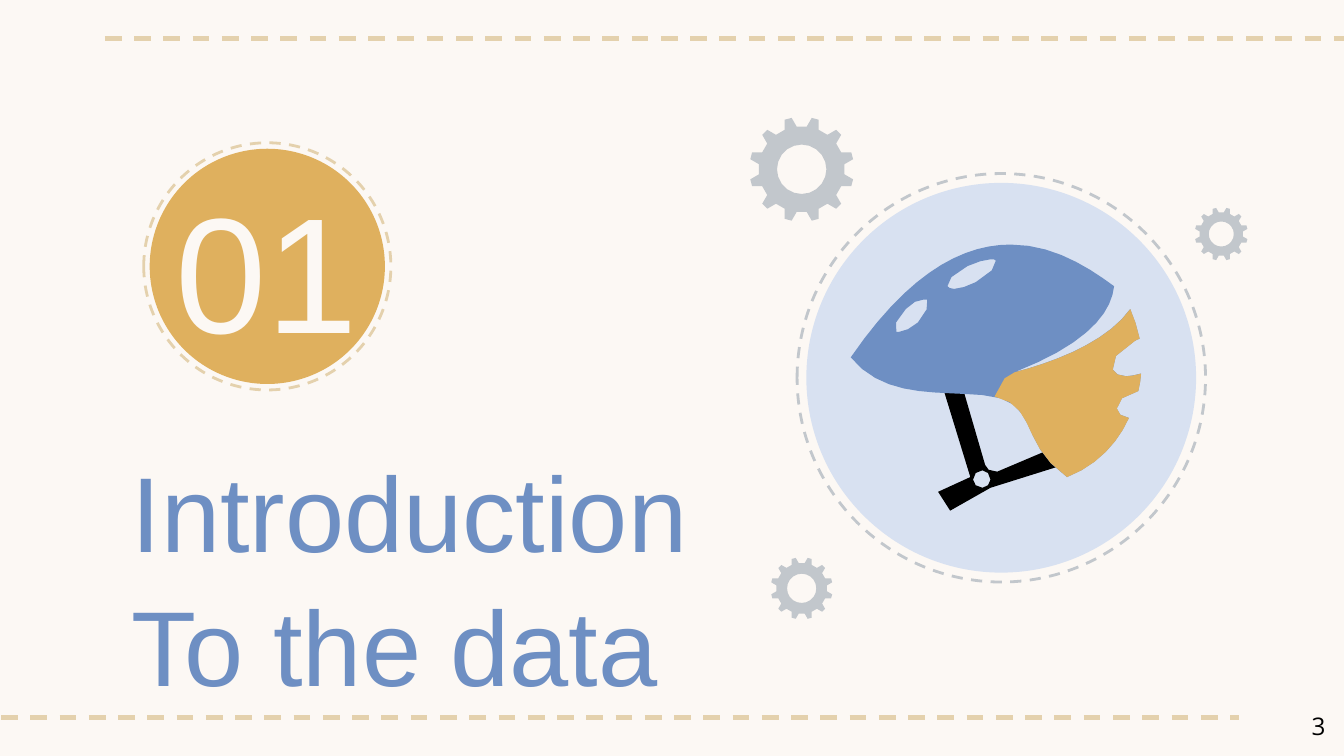
"""Build the section slide that introduces the data."""
from dataclasses import dataclass
from math import cos, dist, pi, sin

from lxml import etree
from pptx import Presentation
from pptx.dml.color import RGBColor
from pptx.enum.dml import MSO_LINE
from pptx.enum.shapes import MSO_CONNECTOR, MSO_SHAPE
from pptx.enum.text import MSO_ANCHOR, PP_ALIGN
from pptx.oxml.ns import qn
from pptx.util import Pt

DASH = MSO_LINE.DASH
STRAIGHT = MSO_CONNECTOR.STRAIGHT
OVAL = MSO_SHAPE.OVAL
TOP, MIDDLE = MSO_ANCHOR.TOP, MSO_ANCHOR.MIDDLE
LEFT, CENTER, RIGHT = PP_ALIGN.LEFT, PP_ALIGN.CENTER, PP_ALIGN.RIGHT

CREAM, SAND, GOLD = "FCF8F4", "E4D1AD", "DFB05E"
BLUE, PALE_BLUE, GREY, BLACK = "6E8FC3", "D8E1F1", "C2C7CC", "000000"

GRID = 0.72
CURVE_STRIDE = 8
TEETH, NOTCH_STEPS, HOLE_STEPS = 12, 3, 20

Point = tuple[float, float]
Contour = list[Point]


@dataclass
class Disc:
    """A circle that is either filled or outlined with dashes."""
    center_x: float
    center_y: float
    radius: float
    color: str
    dashed: bool = False


@dataclass
class Gear:
    """A toothed wheel with a round hole."""
    center_x: float
    center_y: float
    radius: float


@dataclass
class Label:
    """A text box with one format for all its lines."""
    left: float
    top: float
    width: float
    height: float
    lines: list[str]
    size: float
    color: str
    font: str = "Arial"
    align: PP_ALIGN = LEFT
    anchor: MSO_ANCHOR = TOP
    spacing: float = 1.0
    inset_top: float = 7.2


@dataclass
class Part:
    """A helmet part, outlined on a grid of 0.72 points."""
    color: str
    outline: str


FIN_EDGE = (
    "C 844 236 846 244 848 252 C 846 253 845 253 844 254 C 832 260 825 270 828 275 "
    "C 829 278 833 280 838 280 C 841 280 845 279 849 278 C 849 282 848 286 847 291 "
    "C 837 293 830 299 831 304 C 831 308 835 310 840 311 C 832 329 817 346 794 355 "
)
HELMET = [
    Part(BLACK,
         "M 731 350 C 727 350 724 353 724 357 C 724 360 727 363 731 363 "
         "C 734 363 737 360 737 357 C 737 353 734 350 731 350 "
         "M 695 267 L 710 267 L 733 346 C 734 349 736 351 742 351 "
         "L 801 326 L 804 342 L 737 363 L 707 380 L 698 366 L 722 355 L 695 267"),
    Part(BLUE,
         "M 737 193 C 733 193 727 195 720 198 C 710 203 703 210 705 213 "
         "C 706 214 707 215 710 215 C 714 215 720 213 726 210 "
         "C 736 204 743 198 741 194 C 741 193 739 193 737 193 "
         "M 687 223 C 684 223 678 225 674 230 C 667 237 664 244 667 247 "
         "L 669 247 C 673 247 678 244 683 240 "
         "C 689 234 692 226 690 223 L 687 223 "
         "M 752 182 C 784 182 810 199 829 213 C 827 232 811 255 755 277 "
         "C 786 269 824 254 841 230 " + FIN_EDGE +
         "C 756 329 775 297 731 294 C 695 291 658 296 633 266 "
         "C 677 202 717 182 752 182"),
    Part(GOLD,
         "M 841 230 " + FIN_EDGE +
         "C 759 331 772 302 740 295 C 745 281 750 279 755 277 "
         "C 786 269 824 254 841 230"),
]
DISCS = [
    Disc(143.2, 142.7, 66.2, SAND, dashed=True),
    Disc(143.2, 142.7, 63, GOLD),
    Disc(536.4, 202.4, 109.4, GREY, dashed=True),
    Disc(536.4, 202.4, 104.4, PALE_BLUE),
]
GEARS = [
    Gear(429.5, 90.7, 27),
    Gear(654.3, 125.4, 13.7),
    Gear(429.5, 315.2, 16),
]
LABELS = [
    Label(63.4, 226.8, 369.4, 66.2, ["Introduction", "To the data"], 57, BLUE,
          spacing=1.05, inset_top=9),
    Label(72, 67, 141.8, 142.6, ["01"], 88, CREAM, align=CENTER, anchor=MIDDLE,
          spacing=1.1),
    Label(673.9, 373.7, 43.2, 31, ["3"], 13, BLACK, font="Open Sans", align=RIGHT),
]


def rgb(color: str) -> RGBColor:
    """Turn a hex string into a colour."""
    return RGBColor.from_string(color)


def add_rule(slide, start: float, end: float, height: float) -> None:
    """Draw a level dashed line."""
    rule = slide.shapes.add_connector(STRAIGHT, Pt(start), Pt(height), Pt(end), Pt(height))
    rule.line.color.rgb = rgb(SAND)
    rule.line.width = Pt(2.25)
    rule.line.dash_style = DASH
    etree.SubElement(rule._element.spPr, qn("a:effectLst"))


def add_disc(slide, disc: Disc) -> None:
    """Draw a circle around its centre."""
    side = Pt(2 * disc.radius)
    circle = slide.shapes.add_shape(
        OVAL, Pt(disc.center_x - disc.radius), Pt(disc.center_y - disc.radius), side, side)
    circle.shadow.inherit = False
    if disc.dashed:
        circle.fill.background()
        circle.line.color.rgb = rgb(disc.color)
        circle.line.width = Pt(1.5)
        circle.line.dash_style = DASH
    else:
        circle.fill.solid()
        circle.fill.fore_color.rgb = rgb(disc.color)
        circle.line.fill.background()


def add_outline(slide, contours: list[Contour], color: str) -> None:
    """Fill a set of closed contours as one shape."""
    first, *others = [[(Pt(x), Pt(y)) for x, y in contour] for contour in contours]
    builder = slide.shapes.build_freeform(*first[0], scale=1.0)
    builder.add_line_segments(first[1:], close=True)
    for contour in others:
        builder.move_to(*contour[0])
        builder.add_line_segments(contour[1:], close=True)
    outline = builder.convert_to_shape()
    outline.shadow.inherit = False
    outline.fill.solid()
    outline.fill.fore_color.rgb = rgb(color)
    outline.line.fill.background()


def curve(controls: list[Point]) -> Contour:
    """Give points along a cubic curve, without its start."""
    steps = max(2, round(dist(controls[0], controls[-1]) / CURVE_STRIDE))
    points = []
    for step in range(1, steps + 1):
        t = step / steps
        weights = ((1 - t) ** 3, 3 * t * (1 - t) ** 2, 3 * t * t * (1 - t), t ** 3)
        points.append(tuple(sum(w * p[axis] for w, p in zip(weights, controls))
                            for axis in (0, 1)))
    return points


def trace(outline: str) -> list[Contour]:
    """Turn move, line and curve commands into contours in points."""
    tokens = iter(outline.split())
    contours: list[Contour] = []
    for command in tokens:
        count = 3 if command == "C" else 1
        points = [(GRID * int(next(tokens)), GRID * int(next(tokens))) for _ in range(count)]
        if command == "M":
            contours.append(points)
        elif command == "L":
            contours[-1].extend(points)
        else:
            contours[-1].extend(curve([contours[-1][-1], *points]))
    return contours


def arc(x: float, y: float, radius: float, start: float, sweep: float, steps: int) -> Contour:
    """Give evenly spaced points on a circular arc."""
    angles = [start + sweep * step / steps for step in range(steps + 1)]
    return [(x + radius * cos(angle), y + radius * sin(angle)) for angle in angles]


def add_gear(slide, gear: Gear) -> None:
    """Draw a wheel with round notches between its teeth."""
    x, y, radius = gear.center_x, gear.center_y, gear.radius
    rim: Contour = []
    for tooth in range(TEETH):
        angle = 2 * pi * tooth / TEETH
        rim += arc(x + 1.02 * radius * cos(angle), y + 1.02 * radius * sin(angle),
                   0.2 * radius, angle - pi / 2, -pi, NOTCH_STEPS)
    hole = arc(x, y, 0.49 * radius, 0, 2 * pi, HOLE_STEPS)
    add_outline(slide, [hole, rim], GREY)


def add_label(slide, label: Label) -> None:
    """Write the lines of a label in its box."""
    box = slide.shapes.add_textbox(
        Pt(label.left), Pt(label.top), Pt(label.width), Pt(label.height))
    frame = box.text_frame
    frame.word_wrap = True
    frame.vertical_anchor = label.anchor
    frame.margin_left = frame.margin_right = frame.margin_bottom = Pt(7.2)
    frame.margin_top = Pt(label.inset_top)
    frame.text = "\n".join(label.lines)
    for paragraph in frame.paragraphs:
        paragraph.alignment = label.align
        paragraph.line_spacing = label.spacing
        paragraph.font.name = label.font
        paragraph.font.size = Pt(label.size)
        paragraph.font.color.rgb = rgb(label.color)


def main() -> None:
    """Build and save the slide."""
    deck = Presentation()
    deck.slide_width, deck.slide_height = Pt(720), Pt(405)
    slide = deck.slides.add_slide(deck.slide_layouts[6])
    slide.background.fill.solid()
    slide.background.fill.fore_color.rgb = rgb(CREAM)
    add_rule(slide, 56.2, 735.1, 20.6)
    add_rule(slide, -15.1, 663.8, 384.4)
    for disc in DISCS:
        add_disc(slide, disc)
    for part in HELMET:
        add_outline(slide, trace(part.outline), part.color)
    for gear in GEARS:
        add_gear(slide, gear)
    for label in LABELS:
        add_label(slide, label)
    deck.save("out.pptx")


if __name__ == "__main__":
    main()
